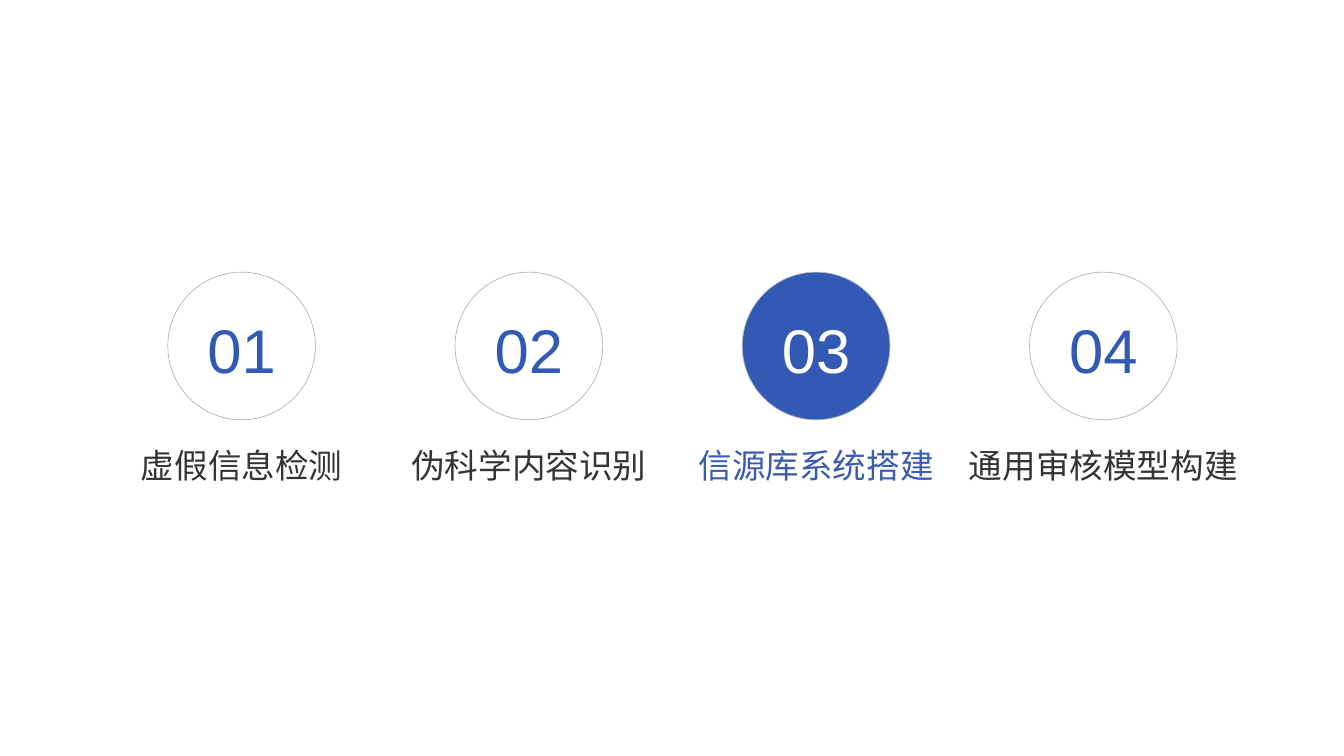
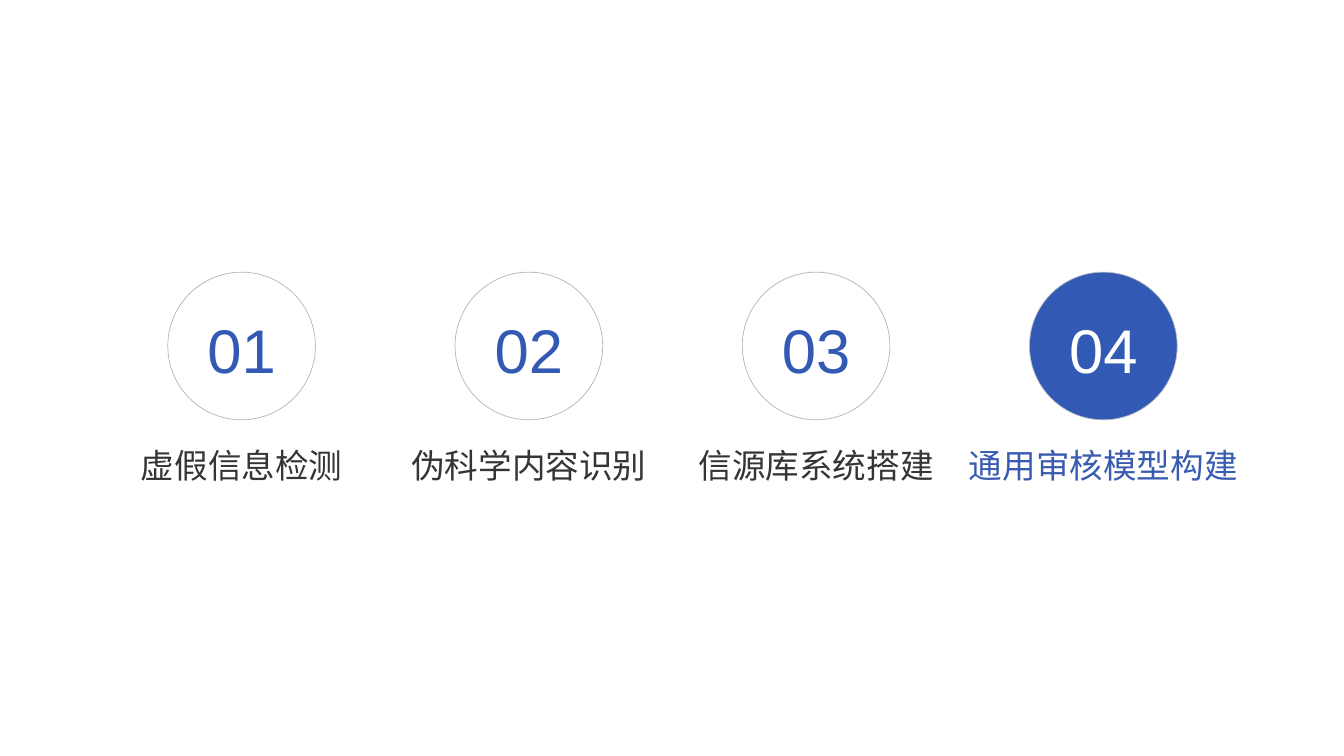
from dataclasses import dataclass

from lxml import etree
from pptx import Presentation
from pptx.dml.color import RGBColor
from pptx.enum.shapes import MSO_SHAPE
from pptx.enum.text import MSO_ANCHOR, MSO_AUTO_SIZE, PP_ALIGN
from pptx.oxml.ns import qn
from pptx.util import Inches, Pt


@dataclass(frozen=True)
class Theme:
    blue: RGBColor = RGBColor.from_string("325AB4")
    label_blue: RGBColor = RGBColor.from_string("3A5CB0")
    dark: RGBColor = RGBColor.from_string("353535")
    outline: RGBColor = RGBColor.from_string("AEB5C0")
    white: RGBColor = RGBColor.from_string("FFFFFF")
    number_font: str = "Arial"
    label_font: str = "Noto Sans CJK SC"
    number_size: int = 88
    label_size: int = 48


THEME = Theme()

# Agenda sections: label and width of its text box
SECTIONS = [
    ("虚假信息检测", 4.77),
    ("伪科学内容识别", 5.15),
    ("信源库系统搭建", 5.23),
    ("通用审核模型构建", 5.58),
]
AGENDA_BOX = (3.33, 5.4)  # left and top of the row
DIAMETER = 2.93
PITCH = 5.7
LABEL_OFFSET = 3.38
LABEL_HEIGHT = 0.91


def write_text(sp, text, font, size, color):
    """Centre one styled line in a shape."""
    tf = sp.text_frame
    tf.margin_left = tf.margin_right = tf.margin_top = tf.margin_bottom = 0
    tf.vertical_anchor = MSO_ANCHOR.MIDDLE
    tf.word_wrap = True
    tf.text = text
    p = tf.paragraphs[0]
    p.alignment = PP_ALIGN.CENTER
    r = p.runs[0]
    r.font.name = font
    r.font.size = Pt(size)
    r.font.color.rgb = color
    # Chinese characters use the East Asian typeface
    etree.SubElement(r.font._element, qn("a:ea"), typeface=font)
    return tf


def add_number(slide, left, top, number, active):
    """Numbered circle, filled when its section is the current one."""
    sp = slide.shapes.add_shape(MSO_SHAPE.OVAL, Inches(left), Inches(top),
                                Inches(DIAMETER), Inches(DIAMETER))
    sp.shadow.inherit = False
    sp.fill.solid()
    sp.fill.fore_color.rgb = THEME.blue if active else THEME.white
    sp.line.color.rgb = THEME.outline
    sp.line.width = Pt(1)
    tf = write_text(sp, f"{number:02d}", THEME.number_font, THEME.number_size,
                    THEME.white if active else THEME.blue)
    tf.margin_top = Inches(0.12)


def add_label(slide, center, top, width, text, active):
    """Section name centred under its circle."""
    sp = slide.shapes.add_textbox(Inches(center - width / 2), Inches(top),
                                  Inches(width), Inches(LABEL_HEIGHT))
    tf = write_text(sp, text, THEME.label_font, THEME.label_size,
                    THEME.label_blue if active else THEME.dark)
    tf.auto_size = MSO_AUTO_SIZE.SHAPE_TO_FIT_TEXT


def add_agenda(slide, box, current):
    """Row of sections with the current one highlighted."""
    left, top = box
    for i, (text, width) in enumerate(SECTIONS):
        x = left + i * PITCH
        active = i + 1 == current
        add_number(slide, x, top, i + 1, active)
        add_label(slide, x + DIAMETER / 2, top + LABEL_OFFSET, width, text, active)


def add_agenda_slide(prs, current):
    slide = prs.slides.add_slide(prs.slide_layouts[6])
    slide.background.fill.solid()
    slide.background.fill.fore_color.rgb = THEME.white
    add_agenda(slide, AGENDA_BOX, current)


def main():
    prs = Presentation()
    prs.slide_width, prs.slide_height = Inches(26.67), Inches(15)
    for current in (3, 4):
        add_agenda_slide(prs, current)
    prs.save("out.pptx")


if __name__ == "__main__":
    main()
